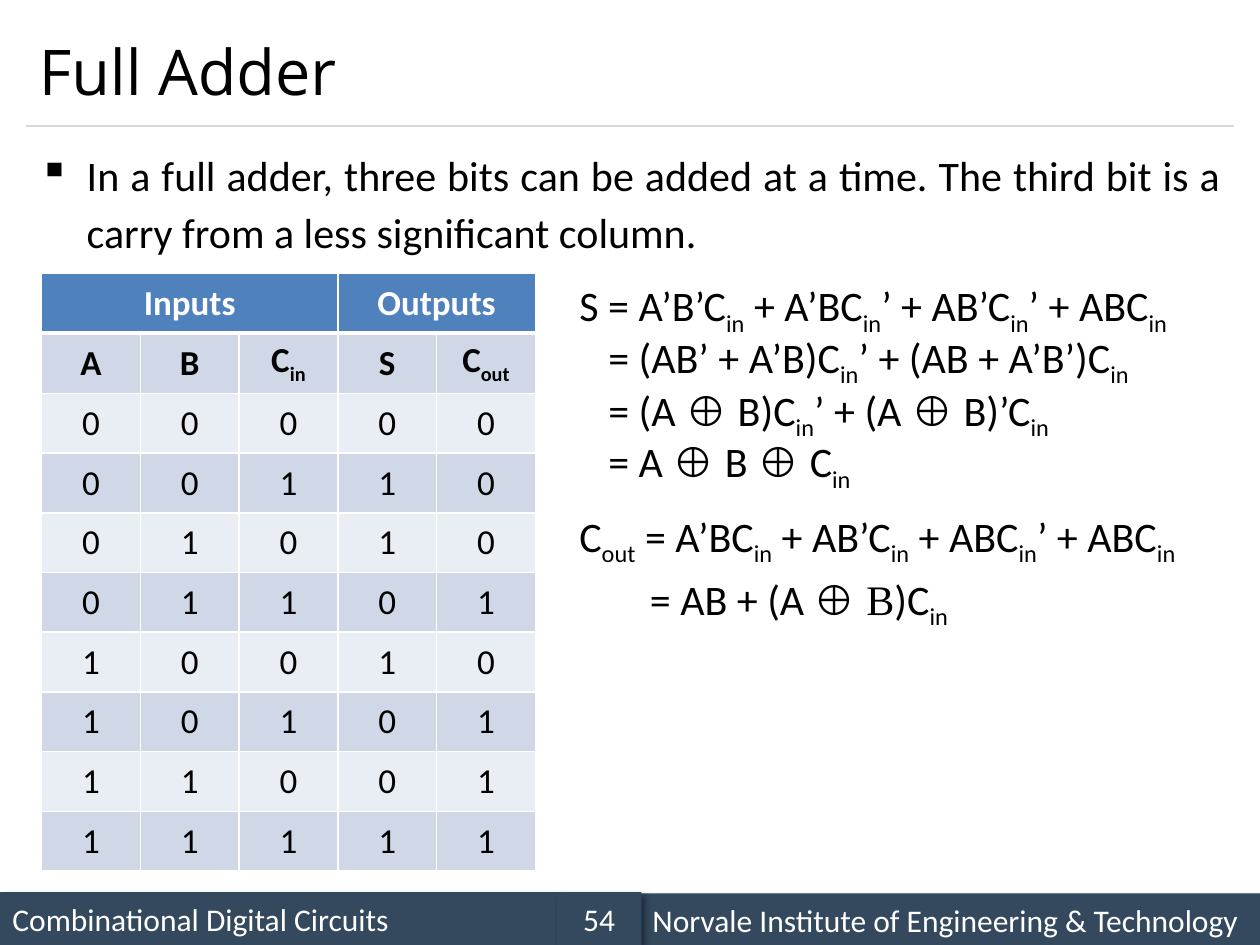
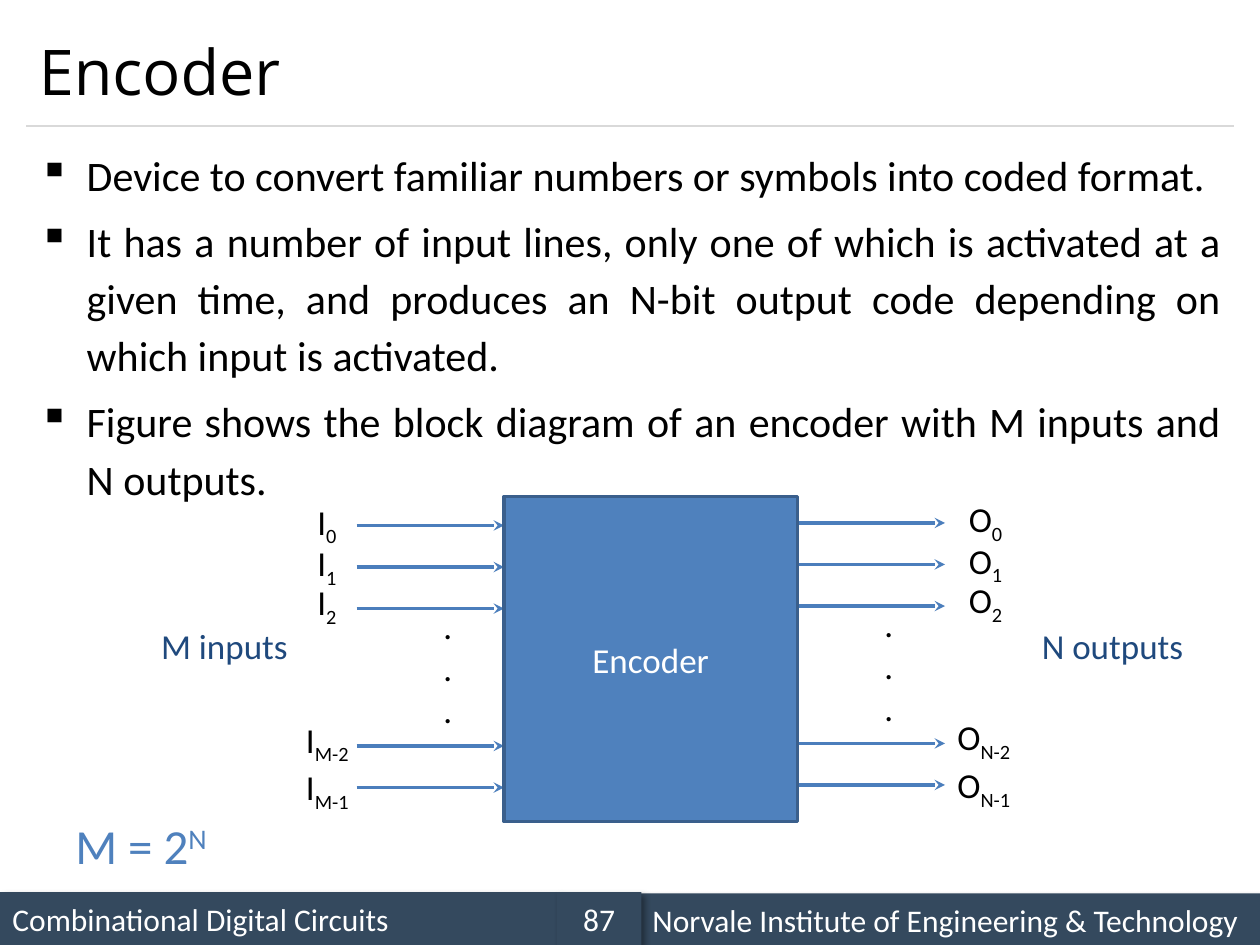
from itertools import product

from lxml.etree import SubElement as Sub
from pptx import Presentation
from pptx.dml.color import RGBColor
from pptx.enum.shapes import MSO_CONNECTOR as Link, MSO_SHAPE as Form
from pptx.enum.text import MSO_ANCHOR as Anchor, MSO_AUTO_SIZE as Auto, PP_ALIGN as Align
from pptx.oxml import parse_xml
from pptx.oxml.ns import nsdecls, qn
from pptx.util import Inches, Pt

BLACK, WHITE, NAVY, SLATE = "000000", "FFFFFF", "1F497D", "34495E"
BLUE, WIRE, EDGE, RULE = "4F81BD", "4B7EBC", "3A5F8C", "D9D9D9"
BANDS = ["E9EDF4", "D0D8E8"]
BODY, HEAD, SERIF = "Calibri", "Open Sans", "Times New Roman"
SHIFT = {"_": "-25000", "^": "30000"}
TOPIC = "Combinational Digital Circuits"
SCHOOL = "Norvale Institute of Engineering & Technology"


def color(code):
    return RGBColor.from_string(code)


def style(item, **vals):
    for name, val in vals.items():
        setattr(item, name, val)


def place(*nums):
    return [Inches(num) for num in nums]


def write(para, text, size, hue=BLACK, face=BODY, bold=False):
    # "|" splits runs; "_" lowers, "^" raises, "~" sets the serif face
    for part in text.split("|"):
        mark = part[0] if part[0] in "_^~" else ""
        run = para.add_run()
        run.text = part[len(mark):]
        style(run.font, size=Pt(size), bold=bold, name=SERIF if mark == "~" else face)
        run.font.color.rgb = color(hue)
        if mark in SHIFT:
            run._r.get_or_add_rPr().set("baseline", SHIFT[mark])


def label(slide, box, text, size=20, hue=BLACK, wrap=False):
    frame = slide.shapes.add_textbox(*place(*box)).text_frame
    style(frame, word_wrap=wrap, auto_size=Auto.SHAPE_TO_FIT_TEXT)
    for num, line in enumerate(text.split("\n")):
        para = frame.add_paragraph() if num else frame.paragraphs[0]
        write(para, line, size, hue)


def block(slide, box, fill, text, size, align=Align.LEFT):
    shape = slide.shapes.add_shape(Form.RECTANGLE, *place(*box))
    shape.shadow.inherit = False
    shape.fill.solid()
    shape.fill.fore_color.rgb = color(fill)
    shape.line.fill.background()
    style(shape.text_frame, word_wrap=True, vertical_anchor=Anchor.MIDDLE)
    para = shape.text_frame.paragraphs[0]
    para.alignment = align
    write(para, text, size, WHITE)
    return shape


def shade(shape):
    glow = shape._element.spPr.find(qn("a:effectLst"))
    glow.append(parse_xml(
        f'<a:outerShdw {nsdecls("a")} blurRad="50800" dist="38100" dir="2700000" algn="tl">'
        '<a:srgbClr val="000000"><a:alpha val="40000"/></a:srgbClr></a:outerShdw>'))


def line(slide, ends, hue, width, arrow=False):
    link = slide.shapes.add_connector(Link.STRAIGHT, *place(*ends))
    link.line.color.rgb = color(hue)
    link.line.width = Pt(width)
    if arrow:
        Sub(link.line._get_or_add_ln(), qn("a:tailEnd"), type="stealth")
    Sub(link._element.spPr, qn("a:effectLst"))


def base(deck, title, page):
    slide = deck.slides.add_slide(deck.slide_layouts[6])
    for box, text, align in [((0, 7.08, 4.42, 0.42), TOPIC, Align.LEFT),
                             ((5.08, 7.09, 4.92, 0.42), SCHOOL, Align.LEFT),
                             ((4.42, 7.08, 0.67, 0.42), page, Align.CENTER)]:
        shade(block(slide, box, SLATE, text, 18, align))
    line(slide, (0.21, 1, 9.79, 1), RULE, 0.75)
    frame = slide.shapes.add_textbox(*place(0.21, 0.12, 9.58, 0.88)).text_frame
    style(frame, word_wrap=True, vertical_anchor=Anchor.MIDDLE)
    write(frame.paragraphs[0], title, 36, face=HEAD)
    return slide


def points(slide, *items):
    frame = slide.shapes.add_textbox(*place(0.21, 1.08, 9.58, 5.83)).text_frame
    style(frame, word_wrap=True, auto_size=Auto.NONE)
    for num, text in enumerate(items):
        para = frame.add_paragraph() if num else frame.paragraphs[0]
        style(para, alignment=Align.JUSTIFY, line_spacing=1.14, space_before=Pt(4.8))
        props = para._p.get_or_add_pPr()
        props.set("marL", str(Inches(0.38)))
        props.set("indent", str(-Inches(0.38)))
        Sub(props, qn("a:buChar"), char="▪")
        write(para, text, 24)


def border(cell, **widths):
    props = cell._tc.get_or_add_tcPr()
    for num, side in enumerate("LRTB"):
        wide = Pt(widths.get(side, 1))
        props.insert(num, parse_xml(
            f'<a:ln{side} {nsdecls("a")} w="{wide}"><a:solidFill>'
            f'<a:srgbClr val="{WHITE}"/></a:solidFill></a:ln{side}>'))


def truth(slide, box):
    rows = [["Inputs", "", "", "Outputs", ""], ["A", "B", "C|_in", "S", "C|_out"]]
    for bits in product((0, 1), repeat=3):
        carry, total = divmod(sum(bits), 2)
        rows.append([str(bit) for bit in (*bits, total, carry)])
    grid = slide.shapes.add_table(len(rows), 5, *place(*box)).table
    grid.cell(0, 0).merge(grid.cell(0, 2))
    grid.cell(0, 3).merge(grid.cell(0, 4))
    for r, row in enumerate(rows):
        for c, text in enumerate(row):
            cell = grid.cell(r, c)
            cell.vertical_anchor = Anchor.MIDDLE
            cell.fill.solid()
            cell.fill.fore_color.rgb = color(BANDS[r % 2] if r else BLUE)
            border(cell, **({"B": 3} if r == 0 else {"T": 3} if r == 1 else {}))
            para = cell.text_frame.paragraphs[0]
            para.alignment = Align.CENTER
            if text:
                write(para, text, 20, BLACK if r else WHITE, bold=r < 2)


def adder(deck):
    slide = base(deck, "Full Adder", "54")
    points(slide, "In a full adder, three bits can be added at a time. "
                  "The third bit is a carry from a less significant column.")
    truth(slide, (0.33, 2.17, 3.92, 4.74))
    for x, y, wide, text in [
        (4.5, 2.17, 4.98, "S = A’B’C|_in| + A’BC|_in|’ + AB’C|_in|’ + ABC|_in"),
        (4.73, 2.58, 4.4, "= (AB’ + A’B)C|_in|’ + (AB + A’B’)C|_in"),
        (4.73, 3, 3.74, "= (A |~⊕ |B)C|_in|’ + (A |~⊕ |B)’C|_in"),
        (4.73, 3.41, 2.13, "= A |~⊕ |B |~⊕ |C|_in"),
        (4.5, 4, 5.24, "C|_out| = A’BC|_in| + AB’C|_in| + ABC|_in|’ + ABC|_in"),
        (5.06, 4.5, 2.57, "= AB + (A |~⊕ B|)C|_in"),
    ]:
        label(slide, (x, y, wide, 0.5), text, 24)


def ports(slide, name, last, wire, near, far, drop):
    tags = ["0", "1", "2", last + "-2", last + "-1"]
    ys = [4.17, 4.5, 4.83, 5.92, 6.25]
    tops = [3.92, 4.25, 4.56, 5.65, 6.03]
    for tag, y, top in zip(tags, ys, tops):
        line(slide, (wire, y - drop, wire + 1.17, y - drop), WIRE, 2, True)
        x, wide = near if len(tag) == 1 else far
        label(slide, (x, top - drop, wide, 0.44), f"{name}|_{tag}")
    label(slide, (wire + 0.59, 4.75 - drop, 0.27, 1.11), ".\n.\n.")


def encoder(deck):
    slide = base(deck, "Encoder", "87")
    points(slide, "Device to convert familiar numbers or symbols into coded format.",
           "It has a number of input lines, only one of which is activated at a given time, "
           "and produces an N-bit output code depending on which input is activated.",
           "Figure shows the block diagram of an encoder with M inputs and N outputs.")
    ports(slide, "I", "M", 2.83, (2.42, 0.37), (2.33, 0.58), 0)
    ports(slide, "O", "N", 6.33, (7.59, 0.48), (7.5, 0.66), 0.02)
    label(slide, (1.18, 4.91, 1.22, 0.44), "M inputs", hue=NAVY)
    label(slide, (8.17, 4.91, 1.33, 0.44), "N outputs", hue=NAVY)
    core = block(slide, (4, 3.94, 2.33, 2.58), BLUE, "Encoder", 20, Align.CENTER)
    core.line.color.rgb = color(EDGE)
    core.line.width = Pt(2)
    label(slide, (0.5, 6.42, 1.36, 0.57), "M = 2|^N", 28, BLUE, True)


def main():
    deck = Presentation()
    style(deck, slide_width=Inches(10), slide_height=Inches(7.5))
    adder(deck)
    encoder(deck)
    deck.save("out.pptx")


if __name__ == "__main__":
    main()
